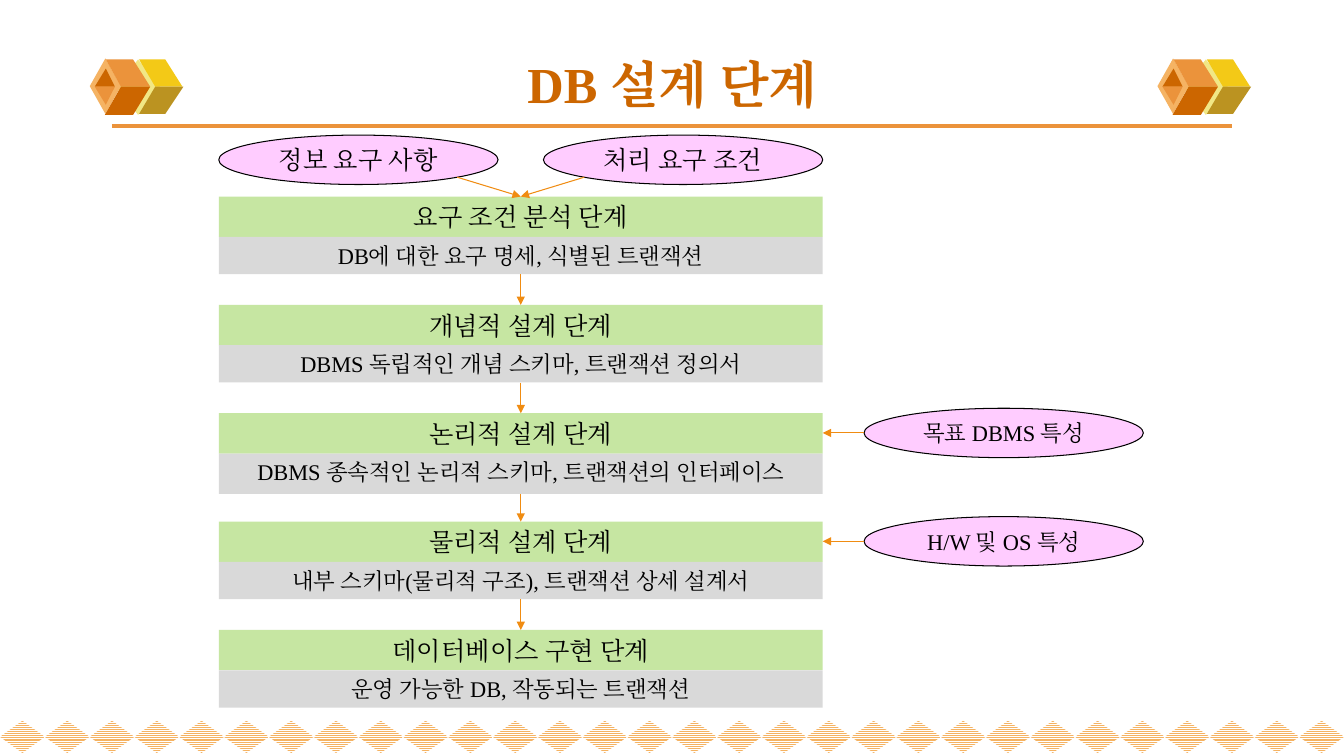
from dataclasses import dataclass
from math import sqrt

from lxml import etree
from pptx import Presentation
from pptx.dml.color import RGBColor
from pptx.enum.dml import MSO_PATTERN
from pptx.enum.shapes import MSO_CONNECTOR, MSO_SHAPE as Shape
from pptx.enum.text import MSO_ANCHOR as Anchor, MSO_AUTO_SIZE as AutoSize, PP_ALIGN as Align
from pptx.oxml.ns import qn
from pptx.util import Inches, Pt


@dataclass(frozen=True)
class Theme:
    font: str = "Times New Roman"
    title_size: float = 36
    stage_size: float = 18
    result_size: float = 16
    ink: str = "000000"
    white: str = "FFFFFF"
    title: str = "CC6600"
    rule: str = "EB933B"
    arrow: str = "F08C12"
    stage: str = "C6E6A2"
    result: str = "D9D9D9"
    factor: str = "FFCCFF"
    pattern: str = "F5B363"
    pale: str = "F1E785"
    yellow: str = "F3C917"
    olive: str = "BB9321"


THEME = Theme()
SLIDE_W, SLIDE_H = 13.33, 7.5

STAGES = [
    ("요구 조건 분석 단계", "DB에 대한 요구 명세, 식별된 트랜잭션", 0.37),
    ("개념적 설계 단계", "DBMS 독립적인 개념 스키마, 트랜잭션 정의서", 0.37),
    ("논리적 설계 단계", "DBMS 종속적인 논리적 스키마, 트랜잭션의 인터페이스", 0.4),
    ("물리적 설계 단계", "내부 스키마(물리적 구조), 트랜잭션 상세 설계서", 0.37),
    ("데이터베이스 구현 단계", "운영 가능한 DB, 작동되는 트랜잭션", 0.37),
]
STAGE_X, STAGE_Y, STAGE_W, STAGE_H, STAGE_PITCH = 2.17, 1.95, 5.99, 0.4, 1.075
FACTOR_W, FACTOR_H = 2.77, 0.49


def color(value):
    return RGBColor.from_string(value)


def write(shape, text, size, ink=THEME.ink, bold=False, anchor=Anchor.MIDDLE,
          wrap=True, grow=False):
    frame = shape.text_frame
    frame.word_wrap = wrap
    frame.auto_size = AutoSize.SHAPE_TO_FIT_TEXT if grow else AutoSize.NONE
    frame.vertical_anchor = anchor
    paragraph = frame.paragraphs[0]
    paragraph.alignment = Align.CENTER
    run = paragraph.add_run()
    run.text = text
    run.font.name, run.font.size, run.font.bold = THEME.font, Pt(size), bold
    run.font.color.rgb = color(ink)
    east_asian = etree.SubElement(run.font._element, qn("a:ea"))
    east_asian.set("typeface", THEME.font)


def paint(shape, fill, outline=None):
    shape.shadow.inherit = False
    shape.fill.solid()
    shape.fill.fore_color.rgb = color(fill)
    if outline:
        shape.line.color.rgb = color(outline)
        shape.line.width = Pt(0.75)
    else:
        shape.line.fill.background()


def add_preset(slide, kind, x, y, w, h, fill, outline=None):
    shape = slide.shapes.add_shape(kind, Inches(x), Inches(y), Inches(w), Inches(h))
    paint(shape, fill, outline)
    return shape


def add_line(slide, start, end, ink, width, arrow=False):
    line = slide.shapes.add_connector(
        MSO_CONNECTOR.STRAIGHT, *(Inches(v) for v in (*start, *end)))
    line.line.color.rgb = color(ink)
    line.line.width = Pt(width)
    if arrow:
        etree.SubElement(line.line._get_or_add_ln(), qn("a:tailEnd")).set("type", "triangle")
    etree.SubElement(line._element.spPr, qn("a:effectLst"))


def add_arrow(slide, start, end):
    add_line(slide, start, end, THEME.arrow, 0.75, arrow=True)


def add_polygon(slide, points, fill):
    corners = [(Inches(x), Inches(y)) for x, y in points]
    builder = slide.shapes.build_freeform(*corners[0], scale=1.0)
    builder.add_line_segments(corners[1:], close=True)
    paint(builder.convert_to_shape(), fill)


def add_diamond_border(slide, y, count=30):
    pitch = SLIDE_W / count
    for i in range(count):
        diamond = add_preset(slide, Shape.DIAMOND, i * pitch, y, pitch, 0.32, THEME.white)
        diamond.fill.patterned()
        diamond.fill.pattern = MSO_PATTERN.NARROW_HORIZONTAL
        diamond.fill.fore_color.rgb = color(THEME.pattern)
        diamond.fill.back_color.rgb = color(THEME.white)


def add_cubes(slide, x, y):
    """Draw the pair of cubes; y is their horizontal centre line."""
    def face(left, inner, right, far, rise, fill):
        add_polygon(slide, [(x + inner, y), (x + right, y),
                            (x + far, y + rise), (x + left, y + rise)], fill)

    def notch(rise, fill):
        add_polygon(slide, [(x + 0.16, y + rise), (x + 0.05, y), (x + 0.25, y)], fill)

    add_preset(slide, Shape.DIAMOND, x + 0.26, y - 0.27, 0.44, 0.55, THEME.pale)
    face(0.49, 0.65, 0.92, 0.75, -0.27, THEME.yellow)
    face(0.49, 0.65, 0.93, 0.75, 0.27, THEME.olive)
    add_preset(slide, Shape.DIAMOND, x, y - 0.28, 0.31, 0.55, THEME.pattern)
    face(0.16, 0.31, 0.6, 0.43, -0.27, THEME.rule)
    face(0.15, 0.31, 0.6, 0.43, 0.28, THEME.title)
    notch(-0.18, THEME.title)
    notch(0.18, THEME.rule)


def add_header(slide, x, y, w, h):
    bottom = y + h
    add_line(slide, (x + 0.44, bottom), (x + w - 0.45, bottom), THEME.rule, 2.25)
    for cubes_x in (x + 0.22, x + w - 1.19):
        add_cubes(slide, cubes_x, y + 0.46)
    title = slide.shapes.add_textbox(Inches(x), Inches(y), Inches(w), Inches(h))
    write(title, "DB 설계 단계", THEME.title_size, ink=THEME.title, bold=True)


def add_stage(slide, x, y, w, name, result, result_h):
    heading = add_preset(slide, Shape.RECTANGLE, x, y, w, STAGE_H, THEME.stage)
    write(heading, name, THEME.stage_size, anchor=Anchor.TOP, grow=True)
    outcome = add_preset(slide, Shape.RECTANGLE, x, y + STAGE_H, w, result_h, THEME.result)
    write(outcome, result, THEME.result_size, anchor=Anchor.TOP, grow=result_h < STAGE_H)


def add_factor(slide, x, y, text, size):
    factor = add_preset(slide, Shape.OVAL, x, y, FACTOR_W, FACTOR_H, THEME.factor, THEME.ink)
    write(factor, text, size, wrap=False)


def add_flow(slide, x, y, w):
    center, right = x + w / 2, x + w
    tops = [y + i * STAGE_PITCH for i in range(len(STAGES))]
    for top, (name, result, result_h) in zip(tops, STAGES):
        add_stage(slide, x, top, w, name, result, result_h)
    for top, next_top, (_, _, result_h) in zip(tops, tops[1:], STAGES):
        add_arrow(slide, (center, top + STAGE_H + result_h), (center, next_top))

    input_y = y - 0.61
    diagonal = 1 / sqrt(8)
    for text, input_x, side in (("정보 요구 사항", x, 1),
                                ("처리 요구 조건", right - FACTOR_W, -1)):
        add_factor(slide, input_x, input_y, text, THEME.stage_size)
        rim = (input_x + FACTOR_W * (0.5 + side * diagonal),
               input_y + FACTOR_H * (0.5 + diagonal))
        add_arrow(slide, rim, (center, y))

    factor_x = right + 0.41
    for text, top in (("목표 DBMS 특성", tops[2]), ("H/W 및 OS 특성", tops[3])):
        add_factor(slide, factor_x, top - 0.05, text, THEME.result_size)
        middle = top - 0.05 + FACTOR_H / 2
        add_arrow(slide, (factor_x, middle), (right, middle))


def main():
    deck = Presentation()
    deck.slide_width, deck.slide_height = Inches(SLIDE_W), Inches(SLIDE_H)
    slide = deck.slides.add_slide(deck.slide_layouts[6])
    add_diamond_border(slide, 7.15)
    add_header(slide, 0.67, 0.4, 12, 0.85)
    add_flow(slide, STAGE_X, STAGE_Y, STAGE_W)
    deck.save("out.pptx")


if __name__ == "__main__":
    main()
